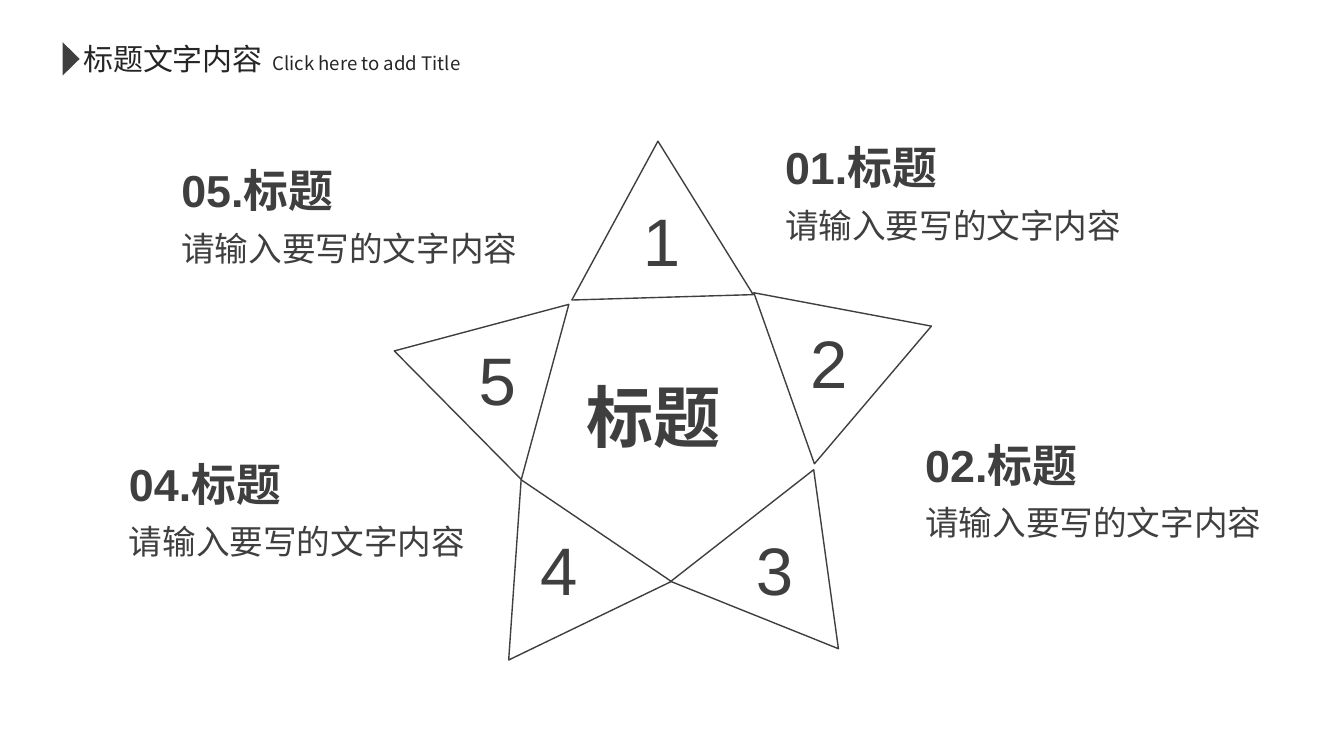
from dataclasses import dataclass

from lxml.etree import SubElement
from pptx import Presentation
from pptx.dml.color import RGBColor
from pptx.enum.shapes import MSO_SHAPE as Preset
from pptx.oxml.ns import qn
from pptx.util import Pt

TITLE = "标题文字内容"
SUBTITLE = "Click here to add Title"
CENTER = "标题"
DETAIL = "请输入要写的文字内容"

# heading, left, top
CAPTIONS = [
    ("01.标题", 553.7, 96.5),
    ("02.标题", 653.8, 308.9),
    ("04.标题", 85, 322.6),
    ("05.标题", 122.4, 113),
]

# number, triangle left and top, rotation, number left and top
STAR_POINTS = [
    ("1", (406.8, 100.8), 358.3, (452.2, 139)),
    ("2", (547.9, 195.8), 70.5, (571.7, 226.1)),
    ("3", (499.7, 363.6), 142, (532.8, 373.7)),
    ("4", (329.8, 369.4), 214.1, (378.7, 373.7)),
    ("5", (270.7, 209.5), 285.2, (334.8, 238.3)),
]


@dataclass(frozen=True)
class Theme:
    white: RGBColor = RGBColor(0xFF, 0xFF, 0xFF)
    ink: RGBColor = RGBColor(0x3F, 0x3F, 0x3F)
    title_ink: RGBColor = RGBColor(0x26, 0x26, 0x26)
    latin: str = "Arial"
    asian: str = "Noto Sans CJK SC"
    title: float = 21.4
    subtitle: float = 13.3
    heading: float = 32
    detail: float = 24
    number: float = 48


THEME = Theme()
SLIDE_SIZE = (960, 540)
TRIANGLE_SIZE = (129.6, 111.6)
NUMBER_SIZE = (38.9, 65.5)
CAPTION_WIDTH, HEADING_HEIGHT, DETAIL_HEIGHT = 296.6, 46.1, 36


def add_text(page, text, place, extent, size, color=THEME.ink,
             font=THEME.latin, bold=False):
    box = page.shapes.add_textbox(*map(Pt, (*place, *extent)))
    box.text_frame.word_wrap = True
    box.text_frame.text = text
    span = box.text_frame.paragraphs[0].runs[0]
    span.font.size = Pt(size)
    span.font.bold = bold
    span.font.color.rgb = color
    span.font.name = font
    SubElement(span.font._element, qn("a:ea")).set("typeface", THEME.asian)


def add_shape(page, preset, place, extent, fill=None, line=None, rotation=0):
    shape = page.shapes.add_shape(preset, *map(Pt, (*place, *extent)))
    shape.shadow.inherit = False
    shape.rotation = rotation
    if fill is None:
        shape.fill.background()
    else:
        shape.fill.solid()
        shape.fill.fore_color.rgb = fill
    if line is None:
        shape.line.fill.background()
    else:
        shape.line.color.rgb = line
        shape.line.width = Pt(1)


def add_header(page):
    add_text(page, TITLE, (52.4, 25.2), (150, 33.1), THEME.title,
             THEME.title_ink, THEME.asian)
    add_shape(page, Preset.ISOSCELES_TRIANGLE, (38.9, 36), (23.8, 12.2),
              fill=THEME.ink, rotation=90)
    add_text(page, SUBTITLE, (187.4, 33.8), (157.4, 23.8), THEME.subtitle,
             THEME.title_ink, THEME.asian)


def add_star(page):
    for _, place, rotation, _ in STAR_POINTS:
        add_shape(page, Preset.ISOSCELES_TRIANGLE, place, TRIANGLE_SIZE,
                  line=THEME.ink, rotation=rotation)
    for number, _, _, place in STAR_POINTS:
        add_text(page, number, place, NUMBER_SIZE, THEME.number)
    add_text(page, CENTER, (411.8, 264.2), (148.3, 65.5), THEME.number,
             bold=True)


def add_captions(page):
    for heading, left, top in CAPTIONS:
        add_text(page, heading, (left, top), (CAPTION_WIDTH, HEADING_HEIGHT),
                 THEME.heading, bold=True)
        add_text(page, DETAIL, (left, top + HEADING_HEIGHT),
                 (CAPTION_WIDTH, DETAIL_HEIGHT), THEME.detail)


def main():
    deck = Presentation()
    deck.slide_width, deck.slide_height = map(Pt, SLIDE_SIZE)
    page = deck.slides.add_slide(deck.slide_layouts[6])
    add_shape(page, Preset.RECTANGLE, (0, 0), SLIDE_SIZE, fill=THEME.white)
    add_star(page)
    add_captions(page)
    add_header(page)
    deck.save("out.pptx")


if __name__ == "__main__":
    main()
